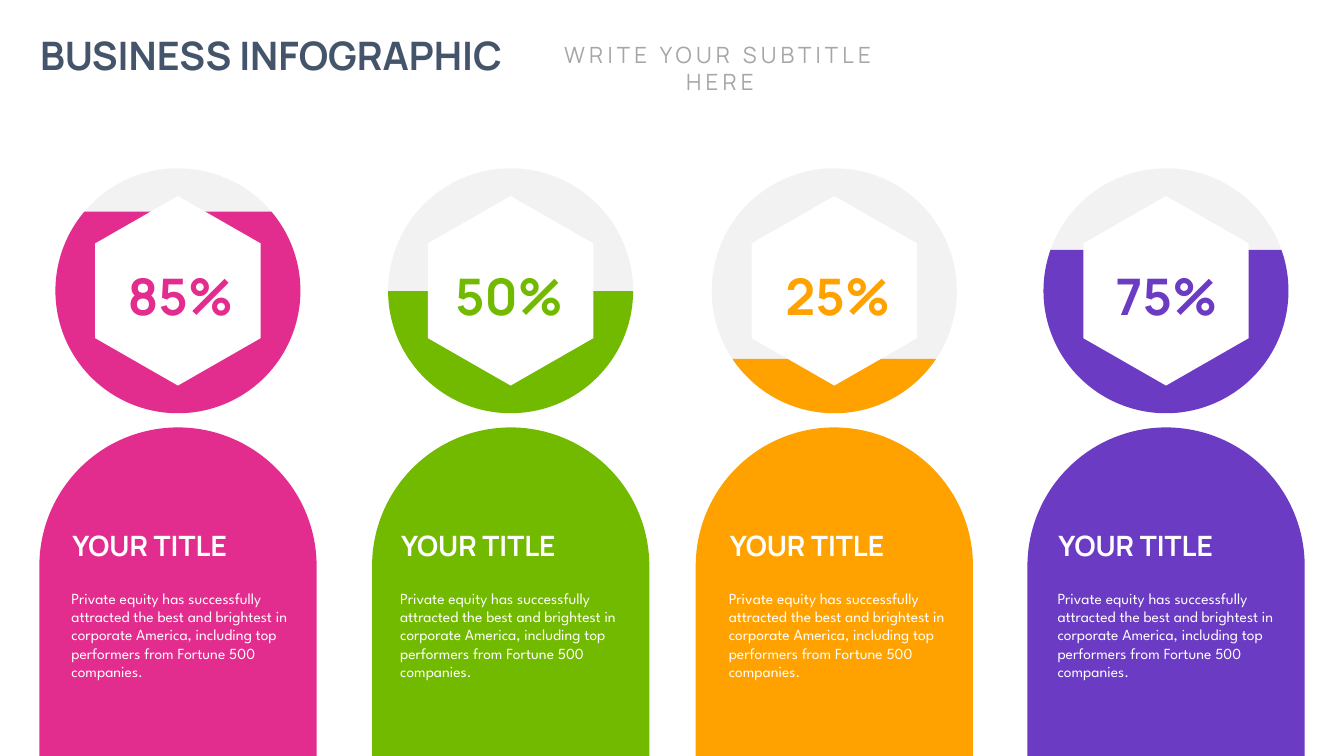
from math import asin, degrees

from pptx import Presentation
from pptx.dml.color import RGBColor
from pptx.enum.shapes import MSO_SHAPE
from pptx.enum.text import MSO_ANCHOR, PP_ALIGN
from pptx.util import Inches, Pt

COLORS = {
    "pink": "E32D8E", "green": "72BA00", "orange": "FFA200", "purple": "6B3BC4",
    "slate": "44546A", "gray": "A6A6A6", "ring": "F2F2F2", "white": "FFFFFF",
}
HEADING = "BUSINESS INFOGRAPHIC"
SUBTITLE = "WRITE YOUR SUBTITLE HERE"
CARD_TITLE = "YOUR TITLE"
CARD_BODY = (
    "Private equity has successfully attracted the best and brightest in corporate "
    "America, including top performers from Fortune 500 companies."
)
CARDS = [
    {"percent": "85%", "color": "pink", "left": 0.39, "level": 2.0},
    {"percent": "50%", "color": "green", "left": 3.69, "level": 1.21},
    {"percent": "25%", "color": "orange", "left": 6.9, "level": 0.54},
    {"percent": "75%", "color": "purple", "left": 10.19, "level": 1.62},
]
TITLE_FONT, BODY_FONT = "Manrope", "League Spartan"
CENTER, LEFT = PP_ALIGN.CENTER, PP_ALIGN.LEFT
TOP, MIDDLE = MSO_ANCHOR.TOP, MSO_ANCHOR.MIDDLE
ARCH, CIRCLE, CHORD = MSO_SHAPE.ROUND_2_SAME_RECTANGLE, MSO_SHAPE.OVAL, MSO_SHAPE.CHORD

CARD_TOP, CARD_WIDTH, CARD_HEIGHT = 4.24, 2.75, 3.28
GAUGE_TOP, GAUGE_SIZE, GAUGE_INSET = 1.67, 2.43, 0.16
HEX_HALF_WIDTH, HEX_HALF_HEIGHT = 0.82, 0.94
HEX_CORNERS = [(0, -1), (1, -0.5), (1, 0.5), (0, 1), (-1, 0.5), (-1, -0.5)]
TEXT_LEFT, TEXT_PITCH = 0.61, 3.26
ADJUSTMENT_PER_DEGREE = 0.6


def paint(shape, color):
    shape.shadow.inherit = False
    shape.fill.solid()
    shape.fill.fore_color.rgb = RGBColor.from_string(COLORS[color])
    shape.line.fill.background()


def add_block(slide, kind, box, color, adjustments=()):
    block = slide.shapes.add_shape(kind, *map(Inches, box))
    for index, value in enumerate(adjustments):
        block.adjustments[index] = value
    paint(block, color)


def add_label(slide, box, text, size, color, font=TITLE_FONT, bold=True,
              align=CENTER, anchor=TOP, wrap=False):
    frame = slide.shapes.add_textbox(*map(Inches, box)).text_frame
    frame.word_wrap = wrap
    frame.vertical_anchor = anchor
    frame.text = text
    paragraph = frame.paragraphs[0]
    paragraph.alignment = align
    run = paragraph.runs[0]
    run.font.name = font
    run.font.size = Pt(size)
    run.font.bold = bold
    run.font.color.rgb = RGBColor.from_string(COLORS[color])
    return paragraph


def add_gauge(slide, left, level, color):
    box = (left, GAUGE_TOP, GAUGE_SIZE, GAUGE_SIZE)
    radius = GAUGE_SIZE / 2
    surface = degrees(asin((radius - level) / radius))
    sweep = [angle % 360 * ADJUSTMENT_PER_DEGREE for angle in (surface, 180 - surface)]
    add_block(slide, CIRCLE, box, "ring")
    add_block(slide, CHORD, box, color, sweep)

    corners = [
        (Inches(left + radius + HEX_HALF_WIDTH * dx),
         Inches(GAUGE_TOP + radius + HEX_HALF_HEIGHT * dy))
        for dx, dy in HEX_CORNERS
    ]
    hexagon = slide.shapes.build_freeform(*corners[0])
    hexagon.add_line_segments(corners[1:], close=True)
    paint(hexagon.convert_to_shape(), "white")


def main():
    """Build the infographic slide with four percentage gauges and cards."""
    deck = Presentation()
    deck.slide_width, deck.slide_height = Inches(13.33), Inches(7.5)
    slide = deck.slides.add_slide(deck.slide_layouts[6])

    add_label(slide, (0.24, 0.26, 4.9, 0.57), HEADING, 28, "slate")
    subtitle = add_label(slide, (5.13, 0.36, 4.02, 0.37), SUBTITLE, 16, "gray",
                         bold=False, wrap=True)
    subtitle.runs[0].font._element.set("spc", "300")

    for index, card in enumerate(CARDS):
        left, color = card["left"], card["color"]
        add_block(slide, ARCH, (left, CARD_TOP, CARD_WIDTH, CARD_HEIGHT), color, (0.5, 0))
        add_gauge(slide, left + GAUGE_INSET, card["level"], color)

        text_left = TEXT_LEFT + TEXT_PITCH * index
        add_label(slide, (text_left, 5.19, 1.75, 0.44), CARD_TITLE, 20, "white",
                  anchor=MIDDLE)
        body = add_label(slide, (text_left, 5.79, 2.39, 1.21), CARD_BODY, 11, "white",
                         font=BODY_FONT, bold=False, align=LEFT, wrap=True)
        body.space_before = Pt(2.2)
        add_label(slide, (text_left + 0.53, 2.57, 1.3, 0.71), card["percent"], 36, color,
                  anchor=MIDDLE)

    deck.save("out.pptx")


if __name__ == "__main__":
    main()
